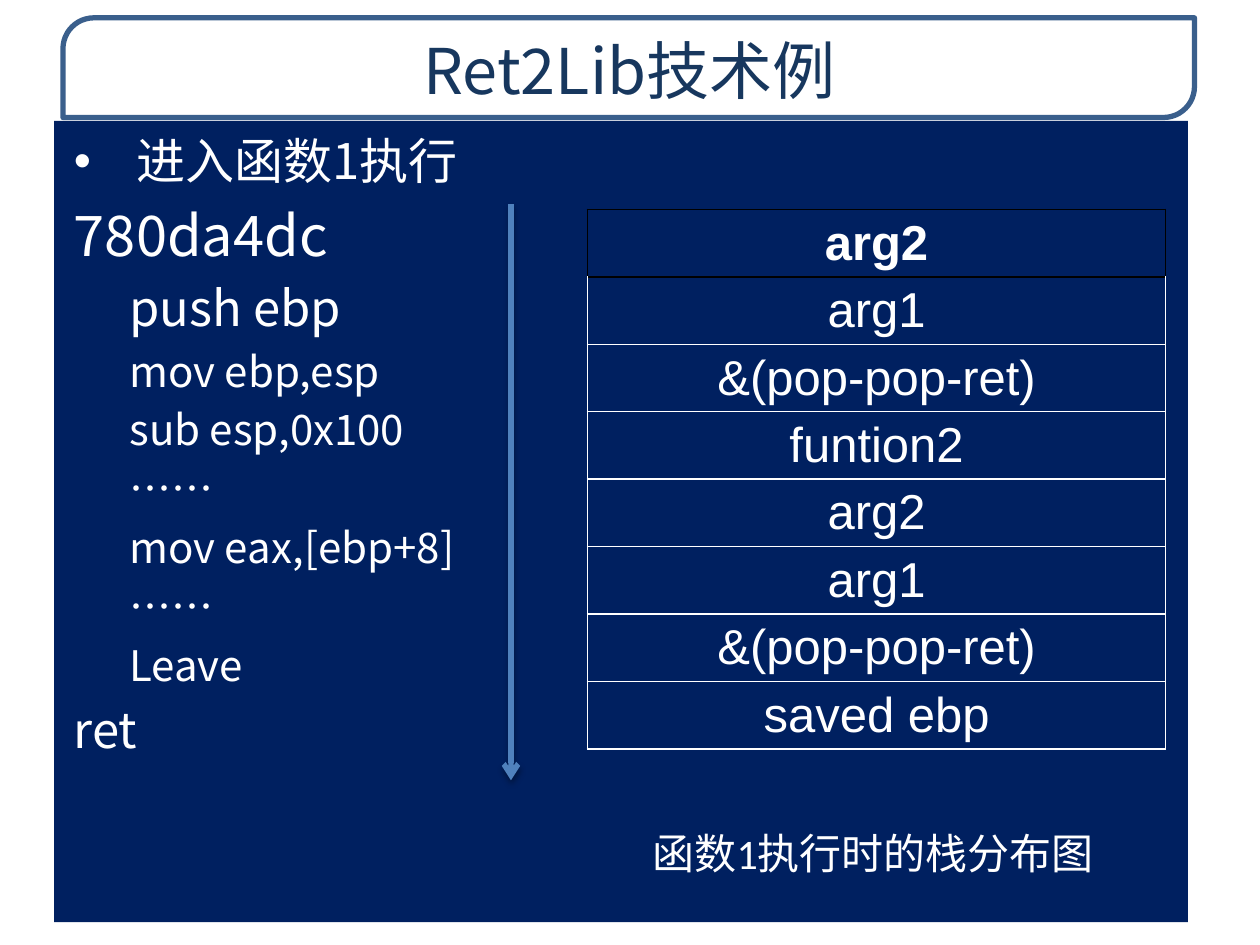
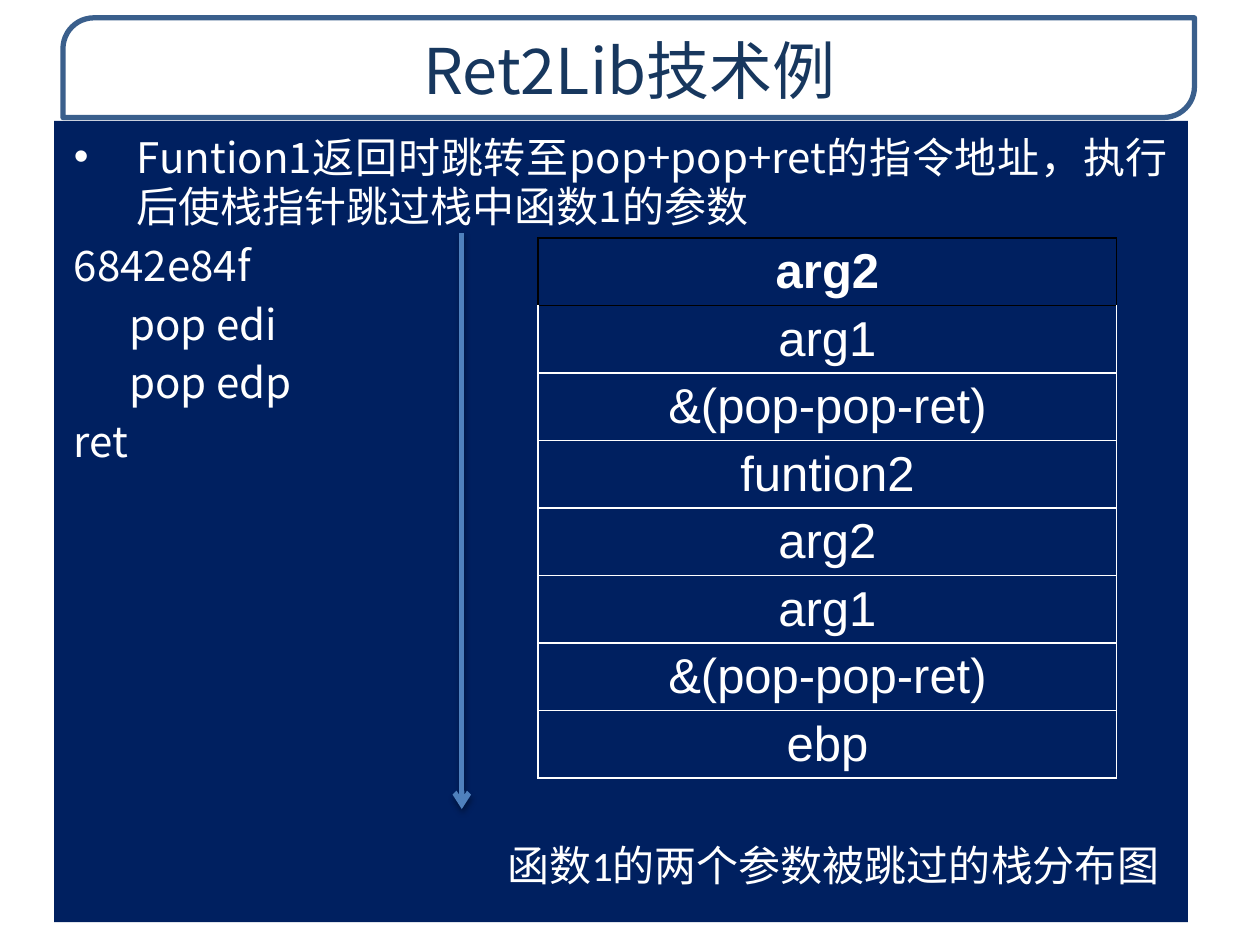
from dataclasses import dataclass

from lxml import etree
from pptx import Presentation
from pptx.dml.color import RGBColor
from pptx.enum.shapes import MSO_CONNECTOR, MSO_SHAPE
from pptx.enum.text import MSO_ANCHOR, PP_ALIGN
from pptx.oxml import parse_xml
from pptx.oxml.ns import nsdecls, qn
from pptx.util import Cm, Pt

WHITE = RGBColor(0xFF, 0xFF, 0xFF)
BLACK = RGBColor(0, 0, 0)
NAVY = RGBColor(0x00, 0x20, 0x60)
INK = RGBColor(0x17, 0x37, 0x5E)
FRAME = RGBColor(0x3A, 0x5F, 0x8C)
BLUE = RGBColor(0x4F, 0x81, 0xBD)

CENTER, JUSTIFY = PP_ALIGN.CENTER, PP_ALIGN.JUSTIFY
TOP, MIDDLE = MSO_ANCHOR.TOP, MSO_ANCHOR.MIDDLE
RECT, BAND = MSO_SHAPE.RECTANGLE, MSO_SHAPE.ROUND_2_DIAG_RECTANGLE
STRAIGHT = MSO_CONNECTOR.STRAIGHT

HAN, SANS, LATIN = "Noto Sans CJK SC", "Arial", "Calibri"
LEADING, GAP = 1.18, 0.22  # line pitch and space before, per point of size
HANG, STEP = 1.27, 1.12
ROW, WIDE = 1.36, 11.66
TITLE = "Ret2Lib技术例"
STACK = ["arg2", "arg1", "&(pop-pop-ret)", "funtion2",
         "arg2", "arg1", "&(pop-pop-ret)"]


@dataclass
class Box:
    left: float
    top: float
    width: float
    height: float

    def cm(self) -> list:
        return [Cm(v) for v in (self.left, self.top, self.width, self.height)]


@dataclass
class Line:
    text: str
    size: int = 24
    level: int = 0
    bullet: bool = False


@dataclass
class Page:
    lines: list[Line]
    last: str
    left: float
    top: float
    note: str
    spot: Box


PAGES = [
    Page([Line("进入函数1执行", 28, bullet=True),
          Line("780da4dc", 32),
          Line("push ebp", 28, 1),
          *(Line(t, level=1) for t in
            ("mov ebp,esp", "sub esp,0x100", "……", "mov eax,[ebp+8]",
             "……", "Leave")),
          Line("ret", 28)],
         "saved ebp", 11.84, 4.22,
         "函数1执行时的栈分布图", Box(11.51, 15.93, 12.19, 2.54)),
    Page([Line("Funtion1返回时跳转至pop+pop+ret的指令地址，"
               "执行后使栈指针跳过栈中函数1的参数", bullet=True),
          Line("6842e84f"),
          Line("pop edi", level=1),
          Line("pop edp", level=1),
          Line("ret")],
         "ebp", 10.85, 4.8,
         "函数1的两个参数被跳过的栈分布图", Box(9.7, 16.54, 14.2, 1.8)),
]


def apply(item, **values) -> None:
    for name, value in values.items():
        setattr(item, name, value)


def write(para, text: str, size: int, face: str, color: RGBColor,
          bold: bool = False) -> None:
    run = para.add_run()
    run.text = text
    apply(run.font, size=Pt(size), name=face, bold=bold)
    run.font.color.rgb = color
    east = etree.SubElement(run.font._element, qn("a:ea"))
    east.set("typeface", HAN)


def panel(slide, kind, box: Box, fill: RGBColor):
    shape = slide.shapes.add_shape(kind, *box.cm())
    shape.shadow.inherit = False
    shape.fill.solid()
    shape.fill.fore_color.rgb = fill
    shape.line.fill.background()
    return shape


def head(slide) -> None:
    band = panel(slide, BAND, Box(1.27, 0.36, 22.81, 2.01), WHITE)
    band.adjustments[0] = 0.31
    band.line.color.rgb = FRAME
    band.line.width = Pt(3)
    label = slide.shapes.add_textbox(*Box(1.3, 0.36, 22.78, 1.93).cm())
    frame = label.text_frame
    apply(frame, word_wrap=True, vertical_anchor=MIDDLE,
          margin_top=Cm(0.25), margin_bottom=Cm(0.08))
    para = frame.paragraphs[0]
    apply(para, alignment=CENTER, line_spacing=Pt(36 * LEADING))
    write(para, TITLE, 36, HAN, INK)


def code(slide, lines: list[Line]) -> None:
    frame = panel(slide, RECT, Box(1.09, 2.44, 22.86, 16.15), NAVY).text_frame
    apply(frame, word_wrap=True, vertical_anchor=TOP,
          margin_left=Cm(0.4), margin_right=Cm(0.4),
          margin_top=Cm(0.22), margin_bottom=Cm(0.13))
    for i, line in enumerate(lines):
        para = frame.add_paragraph() if i else frame.paragraphs[0]
        apply(para, alignment=JUSTIFY, level=line.level,
              line_spacing=Pt(line.size * LEADING),
              space_before=Pt(line.size * GAP if i else 0))
        props = para._p.get_or_add_pPr()
        props.set("marL", str(Cm(HANG + STEP * line.level)))
        props.set("indent", str(-Cm(HANG)))
        if line.bullet:
            font = etree.SubElement(props, qn("a:buFont"))
            font.set("typeface", SANS)
            etree.SubElement(props, qn("a:buChar")).set("char", "•")
        write(para, line.text, line.size, HAN, WHITE)


def edge(cell, side: str, color: RGBColor, at: int) -> None:
    """Give one side of a cell a 1 pt line; at is its place in tcPr."""
    cell._tc.get_or_add_tcPr().insert(at, parse_xml(
        f'<a:{side} {nsdecls("a")} w="12700"><a:solidFill>'
        f'<a:srgbClr val="{color}"/></a:solidFill></a:{side}>'))


def stack(slide, page: Page) -> None:
    names = STACK + [page.last]
    box = Box(page.left, page.top, WIDE, ROW * len(names))
    table = slide.shapes.add_table(len(names), 1, *box.cm()).table
    apply(table, first_row=False, horz_banding=False)
    for i, name in enumerate(names):
        table.rows[i].height = Cm(ROW)
        cell = table.cell(i, 0)
        apply(cell, vertical_anchor=MIDDLE,
              margin_top=Cm(0.08), margin_bottom=Cm(0.08))
        cell.fill.solid()
        cell.fill.fore_color.rgb = NAVY
        for at, side in enumerate(("lnL", "lnR", "lnT", "lnB")):
            dark = i == 0 or (i == 1 and side == "lnT")
            edge(cell, side, BLACK if dark else WHITE, at)
        para = cell.text_frame.paragraphs[0]
        para.alignment = CENTER
        write(para, name, 28, SANS, WHITE, bold=i == 0)


def arrow(slide, page: Page) -> None:
    x, y = page.left - 1.54, page.top - 0.1
    line = slide.shapes.add_connector(
        STRAIGHT, Cm(x), Cm(y), Cm(x), Cm(y + 11.61))
    line.line.color.rgb = BLUE
    line.line.width = Pt(3)
    props = line._element.spPr
    etree.SubElement(props.find(qn("a:ln")), qn("a:tailEnd")).set("type", "arrow")
    props.append(parse_xml(
        f'<a:effectLst {nsdecls("a")}><a:outerShdw blurRad="{Pt(3.1)}" '
        f'dist="{Pt(1.8)}" dir="5400000" rotWithShape="0">'
        f'<a:srgbClr val="{BLACK}"><a:alpha val="35000"/></a:srgbClr>'
        '</a:outerShdw></a:effectLst>'))


def note(slide, page: Page) -> None:
    frame = panel(slide, RECT, page.spot, NAVY).text_frame
    apply(frame, word_wrap=True, vertical_anchor=MIDDLE)
    para = frame.paragraphs[0]
    para.alignment = CENTER
    write(para, page.note, 24, LATIN, WHITE)


def main() -> None:
    deck = Presentation()
    apply(deck, slide_width=Cm(25.4), slide_height=Cm(19.05))
    for page in PAGES:
        slide = deck.slides.add_slide(deck.slide_layouts[6])
        head(slide)
        code(slide, page.lines)
        stack(slide, page)
        arrow(slide, page)
        note(slide, page)
    deck.save("out.pptx")


if __name__ == "__main__":
    main()
